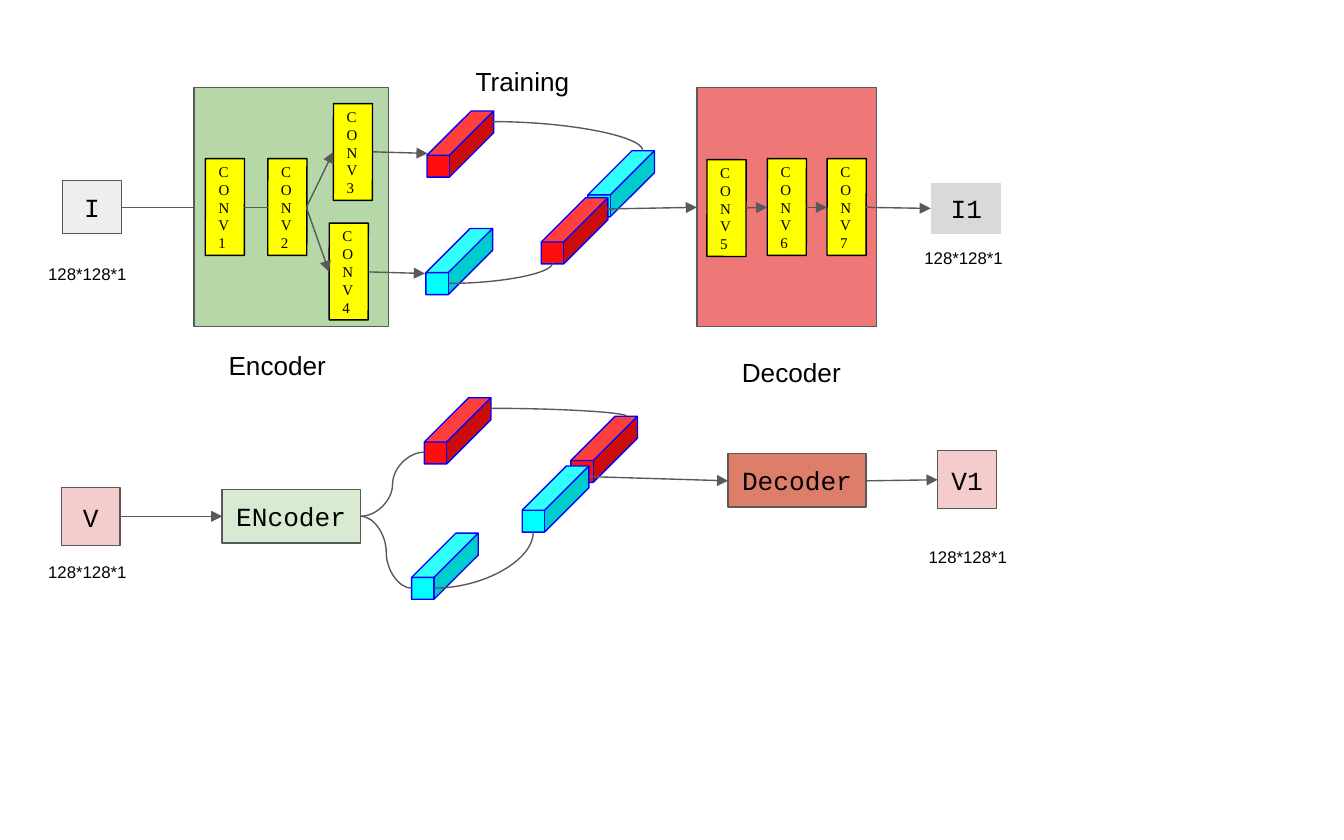
from lxml import etree
from pptx import Presentation
from pptx.dml.color import RGBColor
from pptx.enum.shapes import MSO_CONNECTOR, MSO_SHAPE
from pptx.enum.text import MSO_ANCHOR, PP_ALIGN
from pptx.oxml.ns import qn
from pptx.util import Cm, Pt

RECTANGLE, CUBE = MSO_SHAPE.RECTANGLE, MSO_SHAPE.CUBE
STRAIGHT, CURVE = MSO_CONNECTOR.STRAIGHT, MSO_CONNECTOR.CURVE
LEFT, CENTER = PP_ALIGN.LEFT, PP_ALIGN.CENTER
TOP, MIDDLE = MSO_ANCHOR.TOP, MSO_ANCHOR.MIDDLE

BLACK = RGBColor(0x00, 0x00, 0x00)
WHITE = RGBColor(0xFF, 0xFF, 0xFF)
GRAY = RGBColor(0x59, 0x59, 0x59)
PALE_GRAY = RGBColor(0xEE, 0xEE, 0xEE)
LIGHT_GRAY = RGBColor(0xD9, 0xD9, 0xD9)
GREEN = RGBColor(0xB6, 0xD7, 0xA8)
PALE_GREEN = RGBColor(0xD9, 0xEA, 0xD3)
CORAL = RGBColor(0xEE, 0x78, 0x78)
BRICK = RGBColor(0xDD, 0x7E, 0x6B)
PINK = RGBColor(0xF4, 0xCC, 0xCC)
YELLOW = RGBColor(0xFF, 0xFF, 0x00)
RED = RGBColor(0xFF, 0x0E, 0x0E)
CYAN = RGBColor(0x00, 0xFF, 0xFF)
BLUE = RGBColor(0x00, 0x00, 0xFF)

deck = Presentation()
deck.slide_width, deck.slide_height = Cm(25.4), Cm(15.88)
page = deck.slides.add_slide(deck.slide_layouts[6])


def add_block(kind, left, top, width, height, fill, outline):
    block = page.shapes.add_shape(kind, Cm(left), Cm(top), Cm(width), Cm(height))
    block.shadow.inherit = False
    block.fill.solid()
    block.fill.fore_color.rgb = fill
    block.line.color.rgb = outline
    block.line.width = Pt(0.75)
    return block


def write_text(box, lines, font, size, align, anchor):
    frame = box.text_frame
    frame.word_wrap = True
    frame.vertical_anchor = anchor
    frame.margin_left = frame.margin_right = Cm(0.25)
    frame.margin_top = frame.margin_bottom = Cm(0.25)
    frame.text = "\n".join(lines)
    for para in frame.paragraphs:
        para.alignment = align
        para.font.name = font
        para.font.size = Pt(size)
        para.font.color.rgb = BLACK


# Encoder and decoder panels of the training row
for left, width, fill in [(3.67, 3.67, GREEN), (13.17, 3.4, CORAL)]:
    add_block(RECTANGLE, left, 1.65, width, 4.53, fill, GRAY)

# Inputs, outputs and the collapsed networks
for name, left, top, width, height, fill, outline in [
    ("I", 1.18, 3.41, 1.12, 1.01, PALE_GRAY, GRAY),
    ("I1", 17.59, 3.44, 1.35, 1, LIGHT_GRAY, WHITE),
    ("V", 1.16, 9.22, 1.11, 1.1, PINK, GRAY),
    ("ENcoder", 4.2, 9.25, 2.61, 1.02, PALE_GREEN, GRAY),
    ("Decoder", 13.76, 8.58, 2.61, 1.01, BRICK, GRAY),
    ("V1", 17.72, 8.52, 1.12, 1.1, PINK, GRAY),
]:
    block = add_block(RECTANGLE, left, top, width, height, fill, outline)
    write_text(block, [name], "Courier New", 14, CENTER, MIDDLE)

# Convolution layers
for number, left, top in [
    (1, 3.88, 3), (2, 5.06, 3), (3, 6.3, 1.96), (4, 6.22, 4.22),
    (5, 13.36, 3.02), (6, 14.5, 3), (7, 15.63, 3),
]:
    layer = add_block(RECTANGLE, left, top, 0.74, 1.83, YELLOW, BLACK)
    layer.rotation = 0.1
    write_text(layer, ["CONV", str(number)], "Times New Roman", 8, LEFT, MIDDLE)

# Feature cubes, those in front last
for left, top, fill in [
    (8.07, 2.1, RED), (8.05, 4.32, CYAN), (11.11, 2.85, CYAN), (10.23, 3.74, RED),
    (8.02, 7.52, RED), (7.78, 10.08, CYAN), (10.79, 7.87, RED), (9.87, 8.81, CYAN),
]:
    cube = add_block(CUBE, left, top, 1.26, 1.25, fill, BLUE)
    cube.adjustments[0] = 0.669

# Straight links, arrows and curves: start, end, preset geometry, arrowhead
straight_links = [
    (2.3, 3.92, 3.67, 3.92), (4.62, 3.92, 5.06, 3.92),
]
arrows = [
    (5.79, 3.92, 6.3, 2.87), (5.79, 3.92, 6.22, 5.14),
    (7.04, 2.87, 8.08, 2.9), (6.96, 5.14, 8.03, 5.17),
    (11.48, 3.95, 13.17, 3.92), (14.1, 3.93, 14.5, 3.92),
    (15.23, 3.92, 15.63, 3.92), (16.37, 3.92, 17.59, 3.94),
    (2.27, 9.76, 4.2, 9.76), (11.13, 9.01, 13.76, 9.09),
    (16.37, 9.09, 17.72, 9.07),
]
quarter_curves = [
    (9.32, 2.3, 12.15, 2.85), (8.48, 5.36, 10.44, 4.98),
    (9.27, 7.72, 11.84, 7.87), (8.21, 11.12, 10.08, 10.06),
]
s_curves = [(6.82, 9.76, 8.02, 8.55), (6.82, 9.76, 7.78, 11.12)]
for group, kind, preset, has_head in [
    (straight_links, STRAIGHT, "line", False),
    (arrows, STRAIGHT, "line", True),
    (quarter_curves, CURVE, "curvedConnector2", False),
    (s_curves, CURVE, "curvedConnector3", False),
]:
    for ends in group:
        link = page.shapes.add_connector(kind, *[Cm(value) for value in ends])
        link.line.color.rgb = GRAY
        link.line.width = Pt(0.75)
        properties = link._element.spPr
        properties.find(qn("a:prstGeom")).set("prst", preset)
        if has_head:
            head = etree.SubElement(properties.find(qn("a:ln")), qn("a:tailEnd"))
            head.set("type", "triangle")
        etree.SubElement(properties, qn("a:effectLst"))

# Size captions and headings
captions = [
    ("128*128*1", left, top, 2.11, 0.89, 9)
    for left, top in [(0.66, 4.8), (0.66, 10.43), (17.22, 4.5), (17.3, 10.14)]
]
headings = [
    ("Training", 8.74, 0.99, 3.4, 1.12, 14),
    ("Encoder", 4.07, 6.36, 2.44, 1.12, 14),
    ("Decoder", 13.77, 6.48, 2.64, 1.12, 14),
]
for text, left, top, width, height, size in captions + headings:
    box = page.shapes.add_textbox(Cm(left), Cm(top), Cm(width), Cm(height))
    write_text(box, [text], "Arial", size, LEFT, TOP)

deck.save("out.pptx")
